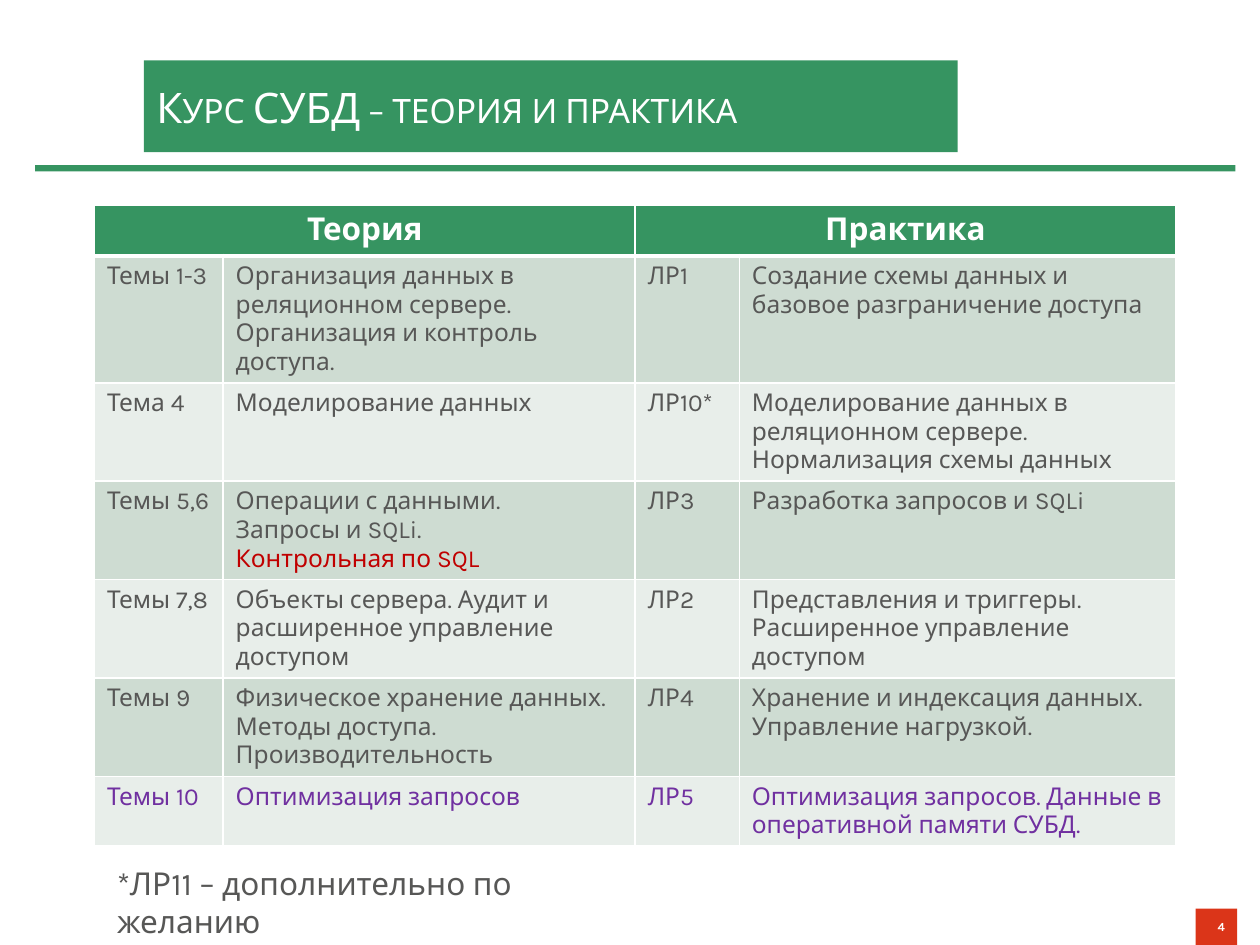
import pptx
import pptx.util
import pptx.dml.color
import pptx.enum.shapes
import pptx.enum.text
import pptx.oxml.ns
from lxml import etree

Pt = pptx.util.Pt
ALIGN = pptx.enum.text.PP_ALIGN
ANCHOR = pptx.enum.text.MSO_ANCHOR

FONT = "Karla"
GREEN, RED, WHITE, GREY = "369461", "DB3519", "FFFFFF", "575756"
ALERT, ACCENT = "C00000", "7030A0"
BANDS = ["CEDCD2", "E8EEEA"]

TITLE = "Курс СУБД – теория и практика"
NOTE = "*ЛР11 – дополнительно по желанию"
HEADS = ["Теория", "Практика"]
ROWS = [
    ["Темы 1-3", "Организация данных в реляционном сервере. Организация и контроль доступа.",
     "ЛР1", "Создание схемы данных и базовое разграничение доступа"],
    ["Тема 4", "Моделирование данных",
     "ЛР10*", "Моделирование данных в реляционном сервере. Нормализация схемы данных"],
    ["Темы 5,6", "Операции с данными.\vЗапросы и SQLi.\nКонтрольная по SQL",
     "ЛР3", "Разработка запросов и SQLi"],
    ["Темы 7,8", "Объекты сервера. Аудит и расширенное управление доступом",
     "ЛР2", "Представления и триггеры. Расширенное управление доступом"],
    ["Темы 9", "Физическое хранение данных. Методы доступа. Производительность",
     "ЛР4", "Хранение и индексация данных. Управление нагрузкой."],
    ["Темы 10", "Оптимизация запросов",
     "ЛР5", "Оптимизация запросов. Данные в оперативной памяти СУБД."],
]
WIDTHS = [73.5, 235.5, 59.5, 249.5]
HEIGHT = 29.2


def rgb(code):
    return pptx.dml.color.RGBColor.from_string(code)


def write(frame, text, size, color, bold=False, align=ALIGN.LEFT, last=None):
    lines = text.split("\n")
    for i, line in enumerate(lines):
        para = frame.paragraphs[0] if i == 0 else frame.add_paragraph()
        para.alignment = align
        for j, part in enumerate(line.split("\v")):
            if j:
                para.add_line_break()
            run = para.add_run()
            run.text = part
            run.font.name = FONT
            run.font.size = Pt(size)
            run.font.bold = bold
            run.font.color.rgb = rgb(last if last and i == len(lines) - 1 else color)


def block(slide, box, color):
    shape = slide.shapes.add_shape(
        pptx.enum.shapes.MSO_SHAPE.RECTANGLE, *[Pt(v) for v in box])
    shape.shadow.inherit = False
    shape.fill.solid()
    shape.fill.fore_color.rgb = rgb(color)
    shape.line.fill.background()
    shape.text_frame.word_wrap = True
    shape.text_frame.vertical_anchor = ANCHOR.MIDDLE
    return shape


def paint(cell, color, top, base):
    props = cell._tc.get_or_add_tcPr()
    for side, width in [("L", 1), ("R", 1), ("T", top), ("B", base)]:
        line = etree.SubElement(props, pptx.oxml.ns.qn("a:ln" + side), w=str(Pt(width)))
        fill = etree.SubElement(line, pptx.oxml.ns.qn("a:solidFill"))
        etree.SubElement(fill, pptx.oxml.ns.qn("a:srgbClr"), val=WHITE)
    cell.fill.solid()
    cell.fill.fore_color.rgb = rgb(color)


def build_table(slide):
    count = len(ROWS) + 1
    table = slide.shapes.add_table(
        count, len(WIDTHS), Pt(54), Pt(117), Pt(sum(WIDTHS)), Pt(HEIGHT * count)).table
    for col, width in zip(table.columns, WIDTHS):
        col.width = Pt(width)
    for row in table.rows:
        row.height = Pt(HEIGHT)
    for c in range(len(WIDTHS)):
        paint(table.cell(0, c), GREEN, 1, 3)
    for i, head in enumerate(HEADS):
        cell = table.cell(0, 2 * i)
        cell.merge(table.cell(0, 2 * i + 1))
        write(cell.text_frame, head, 18, WHITE, True, ALIGN.CENTER)
    for r, row in enumerate(ROWS, 1):
        color = ACCENT if r == len(ROWS) else GREY
        for c, text in enumerate(row):
            cell = table.cell(r, c)
            paint(cell, BANDS[(r - 1) % 2], 3 if r == 1 else 1, 1)
            write(cell.text_frame, text, 14, color, last=ALERT if "\n" in text else None)


def main():
    deck = pptx.Presentation()
    deck.slide_width, deck.slide_height = Pt(720), Pt(540)
    slide = deck.slides.add_slide(deck.slide_layouts[6])

    block(slide, (20, 94.3, 686, 3.6), GREEN)

    title = block(slide, (82.3, 34.5, 465, 52.5), GREEN).text_frame
    title.margin_top = title.margin_bottom = Pt(8.6)
    write(title, TITLE, 24, WHITE)
    title.paragraphs[0].runs[0].font._element.set("cap", "small")

    build_table(slide)

    page = block(slide, (683.3, 519.2, 23.7, 20.8), RED)
    write(page.text_frame, "4", 7, WHITE, True, ALIGN.RIGHT)

    note = slide.shapes.add_textbox(Pt(59.8), Pt(490.3), Pt(319.7), Pt(29)).text_frame
    note.word_wrap = True
    note.auto_size = pptx.enum.text.MSO_AUTO_SIZE.SHAPE_TO_FIT_TEXT
    write(note, NOTE, 18, GREY)

    deck.save("out.pptx")


if __name__ == "__main__":
    main()
